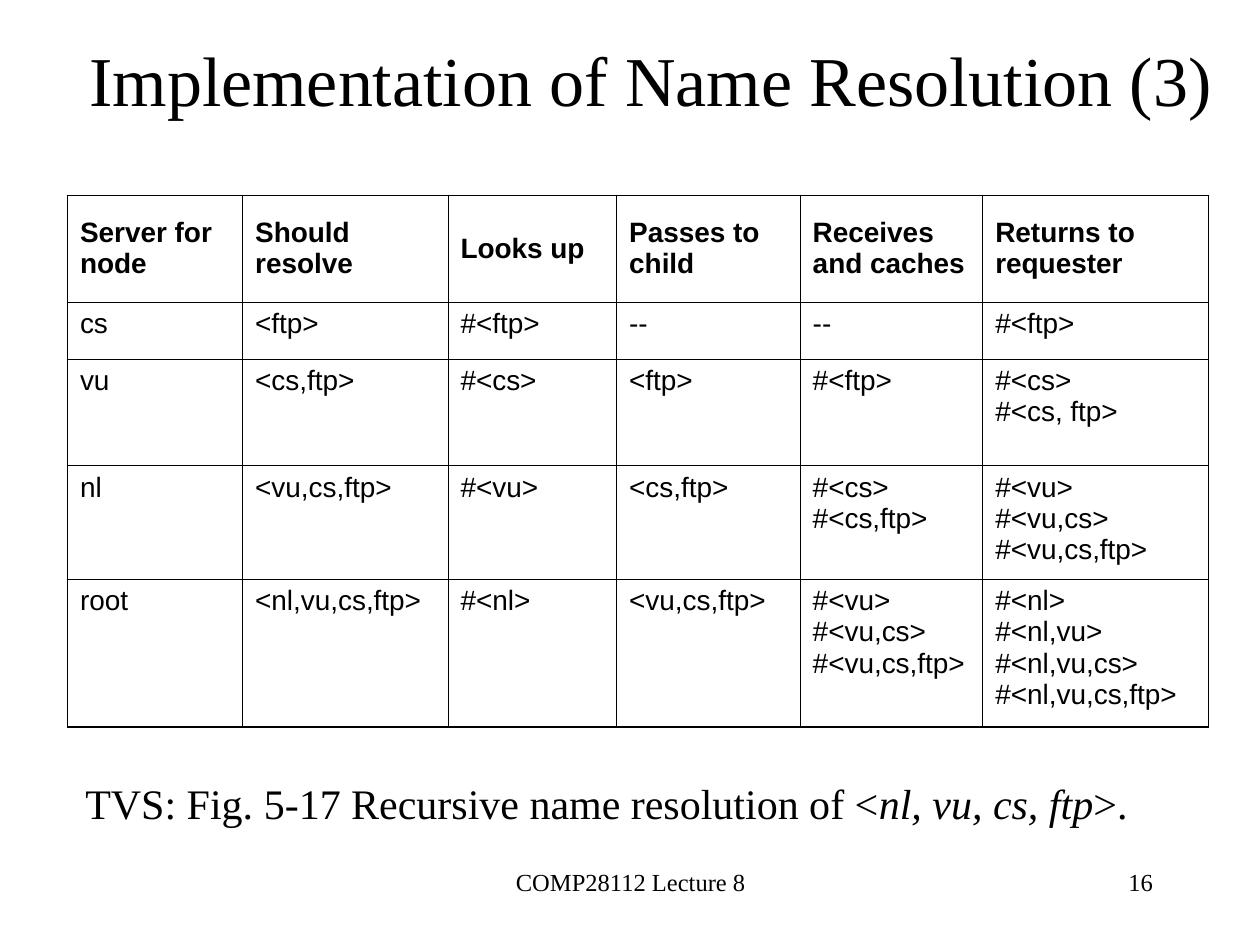
"""Build the name resolution slide with its table of recursive lookups."""
from lxml import etree
from pptx import Presentation
from pptx import util as u
from pptx.dml.color import RGBColor
from pptx.enum import text
from pptx.oxml import ns

COLORS = {"ink": "000000"}
SERIF, SANS = "Times New Roman", "Arial"


def format_runs(paragraph, **values):
    for run in paragraph.runs:
        for name, value in values.items():
            setattr(run.font, name, value)
        run.font.color.rgb = RGBColor.from_string(COLORS["ink"])


def add_border(cell, side, width):
    line = etree.SubElement(cell._tc.get_or_add_tcPr(), ns.qn(f"a:ln{side}"), w=str(u.Pt(width)))
    fill = etree.SubElement(line, ns.qn("a:solidFill"))
    etree.SubElement(fill, ns.qn("a:srgbClr"), val=COLORS["ink"])


prs = Presentation()
prs.slide_width, prs.slide_height = u.Cm(25.4), u.Cm(19.05)
slide = prs.slides.add_slide(prs.slide_layouts[5])

heading = slide.shapes.title
placing = {"left": u.Cm(0.84), "top": u.Cm(0), "width": u.Cm(24.56), "height": u.Cm(3.18)}
for name, value in placing.items():
    setattr(heading, name, value)
heading.text_frame.text = "Implementation of Name Resolution (3)"
heading.text_frame.vertical_anchor = text.MSO_ANCHOR.MIDDLE
heading.text_frame.paragraphs[0].alignment = text.PP_ALIGN.CENTER
format_runs(heading.text_frame.paragraphs[0], name=SERIF, size=u.Pt(40))

lookups = [
    ["Server for node", "Should resolve", "Looks up", "Passes to child",
     "Receives and caches", "Returns to requester"],
    ["cs", "<ftp>", "#<ftp>", "--", "--", "#<ftp>"],
    ["vu", "<cs,ftp>", "#<cs>", "<ftp>", "#<ftp>", "#<cs>\n#<cs, ftp>"],
    ["nl", "<vu,cs,ftp>", "#<vu>", "<cs,ftp>", "#<cs>\n#<cs,ftp>",
     "#<vu>\n#<vu,cs>\n#<vu,cs,ftp>"],
    ["root", "<nl,vu,cs,ftp>", "#<nl>", "<vu,cs,ftp>", "#<vu>\n#<vu,cs>\n#<vu,cs,ftp>",
     "#<nl>\n#<nl,vu>\n#<nl,vu,cs>\n#<nl,vu,cs,ftp>"],
]
column_widths = [3.53, 4.14, 3.4, 3.7, 3.68, 4.55]
row_heights = [2.15, 1.15, 2.15, 2.29, 2.97]
last_row, last_column = len(row_heights) - 1, len(column_widths) - 1

resolution = slide.shapes.add_table(
    len(row_heights), len(column_widths), u.Cm(1.36), u.Cm(3.94),
    u.Cm(sum(column_widths)), u.Cm(sum(row_heights))).table
resolution.first_row = resolution.horz_banding = False
for column, width in zip(resolution.columns, column_widths):
    column.width = u.Cm(width)
for row, height in zip(resolution.rows, row_heights):
    row.height = u.Cm(height)

for r, entries in enumerate(lookups):
    for c, entry in enumerate(entries):
        cell = resolution.cell(r, c)
        outer = {"L": c == 0, "R": c == last_column, "T": r == 0, "B": r == last_row}
        for side, is_outer in outer.items():
            add_border(cell, side, 1.08 if is_outer else 0.45)
        cell.fill.background()
        cell.vertical_anchor = text.MSO_ANCHOR.MIDDLE if r == 0 else text.MSO_ANCHOR.TOP
        paragraph = cell.text_frame.paragraphs[0]
        paragraph.text = entry
        format_runs(paragraph, name=SANS, size=u.Pt(16), bold=r == 0)
        for line_break in paragraph._p.findall(ns.qn("a:br")):
            etree.SubElement(line_break, ns.qn("a:rPr"), sz="1600")

captions = [
    (1.47, 15.54, 21.72, 2.34, 24, text.PP_ALIGN.LEFT,
     ["TVS: Fig. 5-17 Recursive name resolution of <", "nl, vu, cs, ftp", ">."]),
    (8.69, 17.35, 8.05, 1.27, 14, text.PP_ALIGN.CENTER, ["COMP28112 Lecture 8"]),
    (18.21, 17.35, 5.28, 1.27, 14, text.PP_ALIGN.RIGHT, ["16"]),
]
for left, top, width, height, size, alignment, parts in captions:
    frame = slide.shapes.add_textbox(u.Cm(left), u.Cm(top), u.Cm(width), u.Cm(height)).text_frame
    frame.word_wrap = True
    paragraph = frame.paragraphs[0]
    paragraph.alignment = alignment
    for part in parts:
        paragraph.add_run().text = part
    format_runs(paragraph, name=SERIF, size=u.Pt(size))
    for node_names in paragraph.runs[1:2]:
        node_names.font.italic = True

prs.save("out.pptx")
